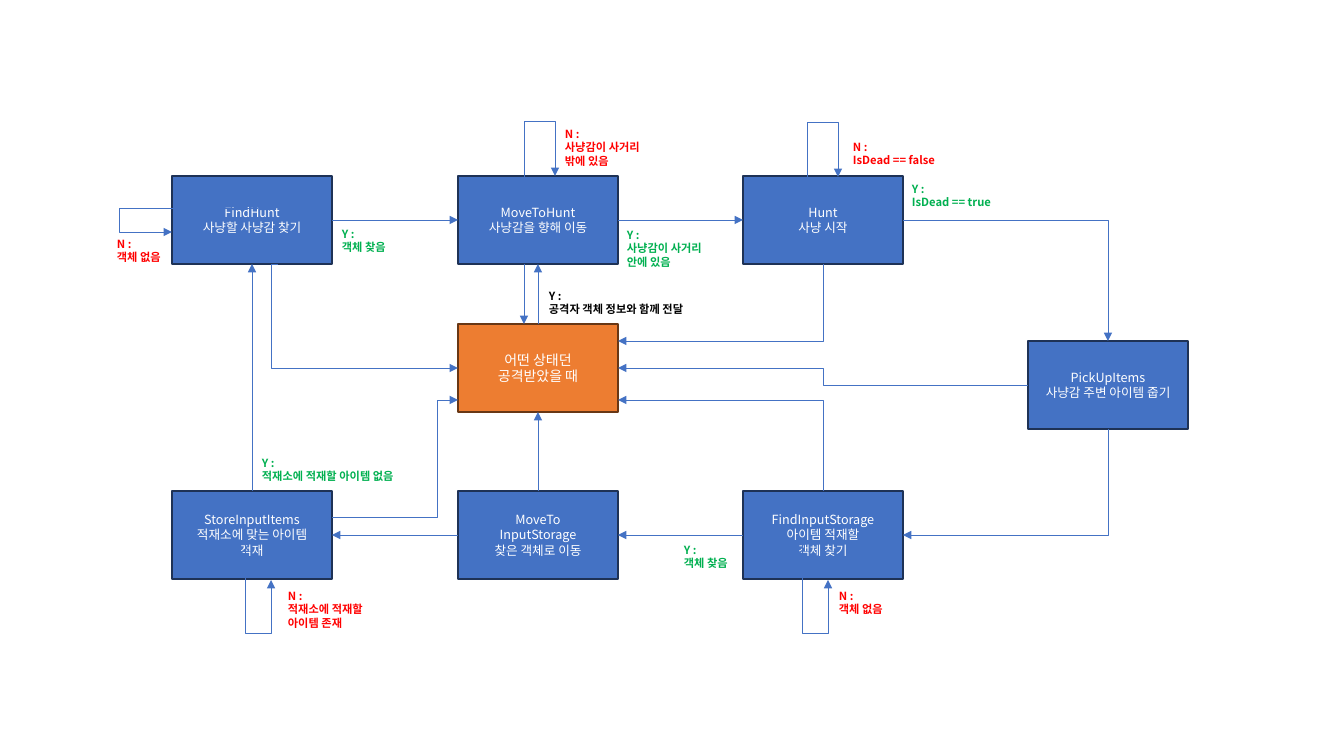
from dataclasses import dataclass

from lxml import etree
from pptx import Presentation
from pptx.dml.color import RGBColor
from pptx.enum.shapes import MSO_CONNECTOR, MSO_SHAPE
from pptx.enum.text import MSO_ANCHOR, MSO_AUTO_SIZE, PP_ALIGN
from pptx.oxml.ns import qn
from pptx.util import Emu, Pt

RECTANGLE = MSO_SHAPE.RECTANGLE
STRAIGHT, ELBOW = MSO_CONNECTOR.STRAIGHT, MSO_CONNECTOR.ELBOW
TOP, LEFT, BOTTOM, RIGHT = range(4)

EMU_PER_PX = 914400 / 100.8
FONT = "Noto Sans CJK KR"
LINE_HEIGHT = 1.2
COLORS = {
    "blue": "4472C4", "navy": "1E3256", "orange": "ED7D31", "brown": "683715",
    "white": "FFFFFF", "black": "000000", "no": "FF0000", "yes": "00B050",
}
COLUMNS = (172, 458, 743, 1028)
TOP_ROW, MIDDLE_ROW, PICKUP_ROW, BOTTOM_ROW = 176, 324, 341, 491
BOX_WIDTH, BOX_HEIGHT = 160, 88


@dataclass
class State:
    name: str
    column: int
    top: int
    text: str
    fill: str = "blue"
    outline: str = "navy"
    size: int = 9


@dataclass
class Label:
    left: int
    top: int
    width: int
    text: str
    color: str


@dataclass
class Elbow:
    """An arrow with right angles; without a bend it turns one corner."""
    start: tuple[int, int]
    end: tuple[int, int]
    bend: int | None = None
    vertical: bool = False


STATES = [
    State("find", 0, TOP_ROW, "FindHunt\n사냥할 사냥감 찾기"),
    State("move", 1, TOP_ROW, "MoveToHunt\n사냥감을 향해 이동"),
    State("hunt", 2, TOP_ROW, "Hunt\n사냥 시작"),
    State("pickup", 3, PICKUP_ROW, "PickUpItems\n사냥감 주변 아이템 줍기"),
    State("find_storage", 2, BOTTOM_ROW, "FindInputStorage\n아이템 적재할\n객체 찾기"),
    State("move_storage", 1, BOTTOM_ROW, "MoveTo\nInputStorage\n찾은 객체로 이동"),
    State("store", 0, BOTTOM_ROW, "StoreInputItems\n적재소에 맞는 아이템\n적재"),
    State("attacked", 1, MIDDLE_ROW, "어떤 상태던\n공격받았을 때", "orange", "brown", 10),
]
JOINS = [
    ("find", RIGHT, "move", LEFT),
    ("move", RIGHT, "hunt", LEFT),
    ("find_storage", LEFT, "move_storage", RIGHT),
    ("move_storage", LEFT, "store", RIGHT),
    ("store", TOP, "find", BOTTOM),
    ("attacked", TOP, "move", BOTTOM),
    ("move_storage", TOP, "attacked", BOTTOM),
]
ELBOWS = [
    # Loops back to the same state
    Elbow((258, 208), (172, 232), 119),
    Elbow((524, 208), (555, 176), 121, True),
    Elbow((807, 209), (838, 177), 122, True),
    Elbow((802, 545), (828, 580), 633, True),
    Elbow((245, 545), (271, 580), 633, True),
    # Next state
    Elbow((903, 220), (1108, 341)),
    Elbow((1108, 429), (903, 535), vertical=True),
    # Attacked
    Elbow((278, 264), (458, 368), 271),
    Elbow((332, 517), (458, 400), 437),
    Elbow((823, 264), (618, 341), vertical=True),
    Elbow((1028, 385), (618, 368), 823),
    Elbow((823, 491), (618, 400), vertical=True),
]
LABELS = [
    Label(107, 232, 89, "N :\n객체 없음", "no"),
    Label(332, 222, 119, "Y :\n객체 찾음", "yes"),
    Label(555, 122, 159, "N :\n사냥감이 사거리\n밖에 있음", "no"),
    Label(617, 223, 119, "Y :\n사냥감이 사거리\n안에 있음", "yes"),
    Label(843, 135, 160, "N :\nIsDead == false", "no"),
    Label(902, 177, 137, "Y :\nIsDead == true", "yes"),
    Label(829, 584, 89, "N :\n객체 없음", "no"),
    Label(674, 538, 137, "Y :\n객체 찾음", "yes"),
    Label(278, 584, 135, "N :\n적재소에 적재할\n아이템 존재", "no"),
    Label(252, 451, 171, "Y :\n적재소에 적재할 아이템 없음", "yes"),
    Label(539, 284, 176, "Y :\n공격자 객체 정보와 함께 전달", "black"),
]


def px(value: float) -> Emu:
    return Emu(round(value * EMU_PER_PX))


def rgb(name: str) -> RGBColor:
    return RGBColor.from_string(COLORS[name])


def write_text(shape, text: str, size: int, color: str, bold: bool, alignment) -> None:
    shape.text_frame.text = text
    shape.text_frame.word_wrap = True
    for paragraph in shape.text_frame.paragraphs:
        paragraph.alignment = alignment
        paragraph.line_spacing = Pt(size * LINE_HEIGHT)
        for run in paragraph.runs:
            font = run.font
            font.name, font.size, font.bold = FONT, Pt(size), bold
            font.color.rgb = rgb(color)
            properties = run._r.get_or_add_rPr()
            etree.SubElement(properties, qn("a:ea"), typeface=FONT)


def draw_state(slide, state: State):
    shape = slide.shapes.add_shape(RECTANGLE, px(COLUMNS[state.column]), px(state.top),
                                   px(BOX_WIDTH), px(BOX_HEIGHT))
    shape.shadow.inherit = False
    shape.fill.solid()
    shape.fill.fore_color.rgb = rgb(state.fill)
    shape.line.color.rgb = rgb(state.outline)
    shape.line.width = Pt(1)
    shape.text_frame.vertical_anchor = MSO_ANCHOR.MIDDLE
    write_text(shape, state.text, state.size, "white", False, PP_ALIGN.CENTER)
    return shape


def draw_label(slide, label: Label) -> None:
    height = 10 + 13.5 * len(label.text.split("\n"))
    shape = slide.shapes.add_textbox(px(label.left), px(label.top), px(label.width), px(height))
    write_text(shape, label.text, 8, label.color, True, PP_ALIGN.LEFT)
    shape.text_frame.auto_size = MSO_AUTO_SIZE.SHAPE_TO_FIT_TEXT


def draw_arrow(slide, kind, start: tuple[int, int], end: tuple[int, int]):
    connector = slide.shapes.add_connector(kind, *map(px, start + end))
    connector.line.color.rgb = rgb("blue")
    connector.line.width = Pt(0.5)
    etree.SubElement(connector.line._get_or_add_ln(), qn("a:tailEnd"), type="triangle")
    etree.SubElement(connector._element.spPr, qn("a:effectLst"))
    return connector


def draw_elbow(slide, elbow: Elbow) -> None:
    connector = draw_arrow(slide, ELBOW, elbow.start, elbow.end)
    properties = connector._element.spPr
    geometry = properties.find(qn("a:prstGeom"))
    if elbow.bend is None:
        geometry.set("prst", "bentConnector2")
    else:
        axis = int(elbow.vertical)
        first, last = elbow.start[axis], elbow.end[axis]
        ratio = round((elbow.bend - first) / (last - first) * 100000)
        guides = geometry.find(qn("a:avLst"))
        etree.SubElement(guides, qn("a:gd"), name="adj1", fmla=f"val {ratio}")
    if elbow.vertical:
        turn_upright(connector, elbow)


def turn_upright(connector, elbow: Elbow) -> None:
    """Rotate the connector a quarter turn so that it leaves its start vertically."""
    (x1, y1), (x2, y2) = elbow.start, elbow.end
    width, height = abs(y2 - y1), abs(x2 - x1)
    connector.left, connector.top = px((x1 + x2 - width) / 2), px((y1 + y2 - height) / 2)
    connector.width, connector.height = px(width), px(height)
    right, down = x2 > x1, y2 > y1
    clockwise = right != down
    transform = connector._element.spPr.find(qn("a:xfrm"))
    transform.set("rot", str((90 if clockwise else 270) * 60000))
    transform.set("flipH", str(int(down != clockwise)))
    transform.set("flipV", str(int(right == clockwise)))


def main() -> None:
    presentation = Presentation()
    presentation.slide_width, presentation.slide_height = px(1344), px(756)
    slide = presentation.slides.add_slide(presentation.slide_layouts[6])
    boxes = {state.name: draw_state(slide, state) for state in STATES}
    for source, source_side, target, target_side in JOINS:
        connector = draw_arrow(slide, STRAIGHT, (0, 0), (0, 0))
        connector.begin_connect(boxes[source], source_side)
        connector.end_connect(boxes[target], target_side)
    draw_arrow(slide, STRAIGHT, (524, TOP_ROW + BOX_HEIGHT), (524, MIDDLE_ROW))
    for elbow in ELBOWS:
        draw_elbow(slide, elbow)
    for label in LABELS:
        draw_label(slide, label)
    presentation.save("out.pptx")


if __name__ == "__main__":
    main()
